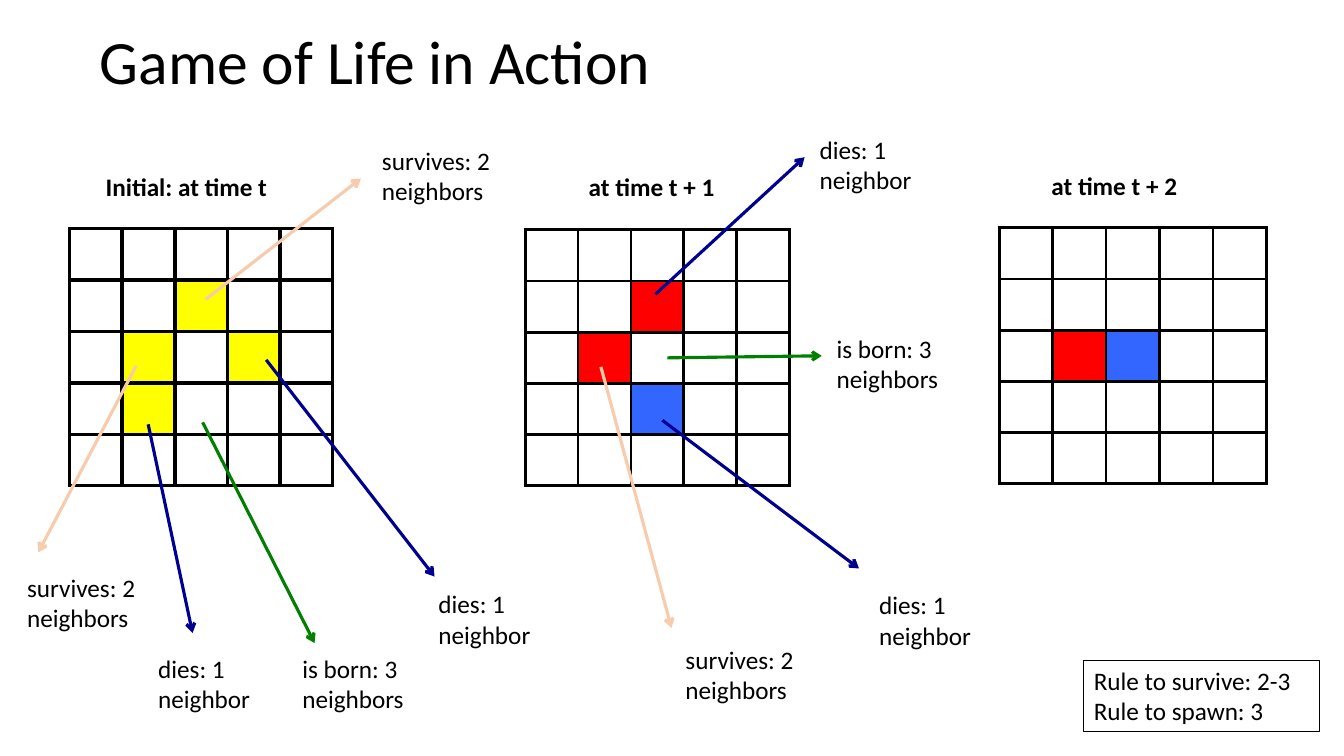
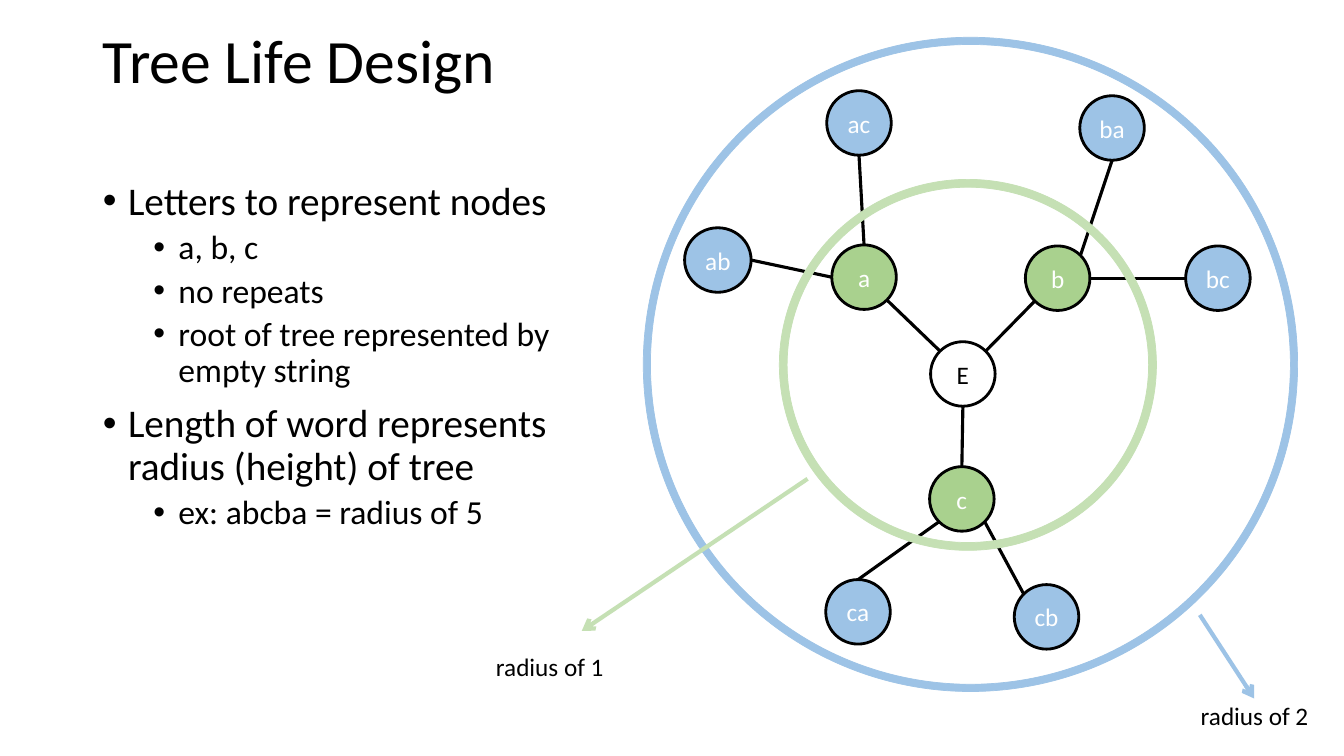
import dataclasses
import math

import lxml.etree
import pptx
import pptx.dml.color
import pptx.enum.shapes
import pptx.enum.text
import pptx.oxml.ns
import pptx.util

PX = 9144
SHAPES = pptx.enum.shapes.MSO_SHAPE
qn = pptx.oxml.ns.qn


@dataclasses.dataclass(frozen=True)
class Theme:
    font: str = "Calibri"
    black: str = "000000"
    white: str = "FFFFFF"
    yellow: str = "FFFF00"
    red: str = "FF0000"
    cobalt: str = "3366FF"
    survives: str = "F8CBAD"
    dies: str = "000090"
    born: str = "008000"
    blue: str = "9DC3E6"
    green: str = "A9D18E"
    pale_green: str = "C5E0B4"
    title_size: int = 44
    body_sizes: tuple = (28, 24)
    text_size: int = 18


def rgb(value):
    return pptx.dml.color.RGBColor.from_string(value)


def add_child(parent, tag, **attributes):
    return lxml.etree.SubElement(parent, qn(tag), attributes)


class Deck:
    """Hold the presentation, its theme and the slide being drawn."""

    def __init__(self, theme):
        self.theme = theme
        self.presentation = pptx.Presentation()
        self.presentation.slide_width = 1333 * PX
        self.presentation.slide_height = 750 * PX
        self.slide = None

    def place(self, shape, left, top, width, height):
        shape.left, shape.top = left * PX, top * PX
        shape.width, shape.height = width * PX, height * PX

    def format_runs(self, paragraph, size, color, bold=False):
        for run in paragraph.runs:
            run.font.name = self.theme.font
            run.font.size = pptx.util.Pt(size)
            run.font.bold = bold
            run.font.color.rgb = rgb(color)

    def outline(self, shape, color, width):
        shape.line.color.rgb = rgb(color)
        shape.line.width = pptx.util.Pt(width)

    def start_slide(self, layout, title, left, top, height):
        layouts = self.presentation.slide_layouts
        self.slide = self.presentation.slides.add_slide(layouts.get_by_name(layout))
        shape = self.slide.shapes.title
        self.place(shape, left, top, 1150, height)
        frame = shape.text_frame
        frame.text = title
        frame.auto_size = pptx.enum.text.MSO_AUTO_SIZE.NONE
        frame.vertical_anchor = pptx.enum.text.MSO_ANCHOR.MIDDLE
        paragraph = frame.paragraphs[0]
        paragraph.alignment = pptx.enum.text.PP_ALIGN.LEFT
        paragraph.line_spacing = 0.9
        self.format_runs(paragraph, self.theme.title_size, self.theme.black)

    def bullets(self, items, left, top, width, height):
        shape = self.slide.placeholders[1]
        self.place(shape, left, top, width, height)
        frame = shape.text_frame
        frame.text = "\n".join(text for level, text in items)
        frame.auto_size = pptx.enum.text.MSO_AUTO_SIZE.NONE
        for paragraph, (level, text) in zip(frame.paragraphs, items):
            paragraph.level = level
            paragraph.line_spacing = 0.9
            paragraph.space_before = pptx.util.Pt((10, 5)[level])
            properties = paragraph._p.get_or_add_pPr()
            properties.set("marL", str((25 + 50 * level) * PX))
            properties.set("indent", str(-25 * PX))
            add_child(properties, "a:buFont", typeface="Arial")
            add_child(properties, "a:buChar", char="•")
            self.format_runs(paragraph, self.theme.body_sizes[level], self.theme.black)

    def label(self, text, left, top, width, height=71, bold=False):
        shape = self.slide.shapes.add_textbox(left * PX, top * PX, width * PX, height * PX)
        shape.text_frame.word_wrap = True
        shape.text_frame.text = text
        self.format_runs(
            shape.text_frame.paragraphs[0], self.theme.text_size, self.theme.black, bold
        )
        return shape

    def line(self, start, end, color, width=2.25, arrow=True):
        connector = self.slide.shapes.add_connector(
            pptx.enum.shapes.MSO_CONNECTOR.STRAIGHT,
            *(round(value * PX) for value in (*start, *end)),
        )
        self.outline(connector, color, width)
        properties = connector.element.spPr
        if arrow:
            add_child(properties.find(qn("a:ln")), "a:tailEnd", type="arrow")
        add_child(properties, "a:effectLst")
        return connector

    def grid(self, left, top, width, height, live_cells, inner=2.25, outer=2.25):
        count = 5
        table = self.slide.shapes.add_table(
            count, count, left * PX, top * PX, width * PX, height * PX
        ).table
        table.first_row = table.horz_banding = False
        for row in range(count):
            for column in range(count):
                cell = table.cell(row, column)
                properties = cell._tc.get_or_add_tcPr()
                edges = {
                    "a:lnL": column == 0,
                    "a:lnR": column == count - 1,
                    "a:lnT": row == 0,
                    "a:lnB": row == count - 1,
                }
                for tag, outside in edges.items():
                    points = outer if outside else inner
                    border = add_child(properties, tag, w=str(int(pptx.util.Pt(points))))
                    fill = add_child(border, "a:solidFill")
                    add_child(fill, "a:srgbClr", val=self.theme.black)
                if (row, column) in live_cells:
                    cell.fill.solid()
                    cell.fill.fore_color.rgb = rgb(live_cells[row, column])
                else:
                    cell.fill.background()

    def round_shape(self, kind, left, top, width, height, fill, line, line_width):
        shape = self.slide.shapes.add_shape(
            kind, left * PX, top * PX, width * PX, height * PX
        )
        shape.shadow.inherit = False
        if fill:
            shape.fill.solid()
            shape.fill.fore_color.rgb = rgb(fill)
        else:
            shape.fill.background()
        self.outline(shape, line, line_width)
        return shape

    def node(self, text, left, top, fill, color, width=64):
        shape = self.round_shape(
            SHAPES.OVAL, left, top, width, 64, fill, self.theme.black, 2
        )
        frame = shape.text_frame
        frame.margin_left = frame.margin_right = 0
        frame.margin_top = frame.margin_bottom = 0
        frame.vertical_anchor = pptx.enum.text.MSO_ANCHOR.MIDDLE
        frame.text = text
        frame.paragraphs[0].alignment = pptx.enum.text.PP_ALIGN.CENTER
        self.format_runs(frame.paragraphs[0], self.theme.text_size, color)
        return shape

    def ring(self, left, top, width, height, color, thickness):
        shape = self.round_shape(
            SHAPES.DONUT, left, top, width, height, color, color, 0.5
        )
        shape.adjustments[0] = thickness

    def link(self, first, first_site, second, second_site):
        ends = ((first, first_site), (second, second_site))
        points = []
        for shape, site in ends:
            angle = math.radians(90 + 45 * site)
            points.append((
                (shape.left + shape.width / 2 * (1 + math.cos(angle))) / PX,
                (shape.top + shape.height / 2 * (1 - math.sin(angle))) / PX,
            ))
        connector = self.line(*points, self.theme.black, arrow=False)
        properties = connector.element.find(".//" + qn("p:cNvCxnSpPr"))
        for tag, (shape, site) in zip(("a:stCxn", "a:endCxn"), ends):
            add_child(properties, tag, id=str(shape.shape_id), idx=str(site))


def draw_game(deck):
    theme = deck.theme
    deck.start_slide("Title Only", "Game of Life in Action", 89, 15, 98)
    yellow_cells = dict.fromkeys([(1, 2), (2, 1), (2, 3), (3, 1)], theme.yellow)
    deck.grid(69, 227, 261, 255, yellow_cells, inner=3)
    deck.grid(
        521, 228, 262, 254, {(1, 2): theme.red, (2, 1): theme.red, (3, 2): theme.cobalt}
    )
    deck.grid(991, 226, 265, 254, {(2, 1): theme.red, (2, 2): theme.cobalt})

    for text, left, top, width in (
        ("Initial: at time t", 95, 165, 182),
        ("at time t + 1", 574, 165, 165),
        ("at time t + 2", 1033, 164, 167),
    ):
        deck.label(text, left, top, width, 40, bold=True)

    fates = {
        "survives: 2 neighbors": (theme.survives, 135),
        "dies: 1 neighbor": (theme.dies, 118),
        "is born: 3 neighbors": (theme.born, 129),
    }
    survives, dies, born = fates
    for fate, start, end, left, top in (
        (survives, (204, 297), (358, 177), 369, 139),
        (survives, (135, 363), (38, 548), 17, 563),
        (dies, (264, 357), (431, 572), 425, 579),
        (dies, (147, 421), (191, 628), 147, 643),
        (born, (201, 419), (312, 638), 290, 643),
        (dies, (650, 292), (798, 156), 803, 128),
        (survives, (596, 364), (666, 623), 670, 634),
        (dies, (657, 417), (852, 564), 862, 580),
        (born, (662, 355), (815, 353), 820, 326),
    ):
        color, width = fates[fate]
        deck.line(start, end, color)
        deck.label(fate, left, top, width)

    rules = deck.label("Rule to survive: 2-3 Rule to spawn: 3", 1075, 655, 234)
    deck.outline(rules, theme.black, 0.75)


def draw_tree(deck):
    theme = deck.theme
    deck.start_slide("Title and Content", "Tree Life Design", 92, 16, 94)
    deck.bullets(
        (
            (0, "Letters to represent nodes"),
            (1, "a, b, c"),
            (1, "no repeats"),
            (1, "root of tree represented by empty string"),
            (0, "Length of word represents radius (height) of tree"),
            (1, "ex: abcba = radius of 5"),
        ),
        92, 175, 552, 500,
    )

    nodes = {"E": deck.node("E", 923, 339, None, theme.black)}
    for name, left, top in (
        ("a", 825, 243), ("b", 1017, 244), ("c", 922, 463),
        ("ac", 820, 90), ("ba", 1071, 95), ("bc", 1176, 244),
        ("ca", 819, 575), ("cb", 1006, 580),
    ):
        fill = theme.green if len(name) == 1 else theme.blue
        nodes[name] = deck.node(name, left, top, fill, theme.white)
    nodes["ab"] = deck.node("ab", 679, 226, theme.blue, theme.white, width=66)

    for first, first_site, second, second_site in (
        ("a", 5, "E", 1), ("b", 3, "E", 7), ("E", 4, "c", 0),
        ("ac", 4, "a", 0), ("ab", 6, "a", 2), ("ba", 4, "b", 7),
        ("b", 6, "bc", 2), ("ca", 0, "c", 3), ("c", 5, "cb", 1),
    ):
        deck.link(nodes[first], first_site, nodes[second], second_site)

    deck.ring(773, 178, 374, 368, theme.pale_green, 0.021)
    deck.ring(638, 37, 649, 649, theme.blue, 0.011)
    deck.line((801, 475), (577, 626), theme.pale_green, 3)
    deck.line((1190, 610), (1244, 693), theme.blue, 3)
    deck.label("radius of 1", 482, 641, 138, 40)
    deck.label("radius of 2", 1181, 690, 145, 40)


def main():
    deck = Deck(Theme())
    draw_game(deck)
    draw_tree(deck)
    deck.presentation.save("out.pptx")


if __name__ == "__main__":
    main()
